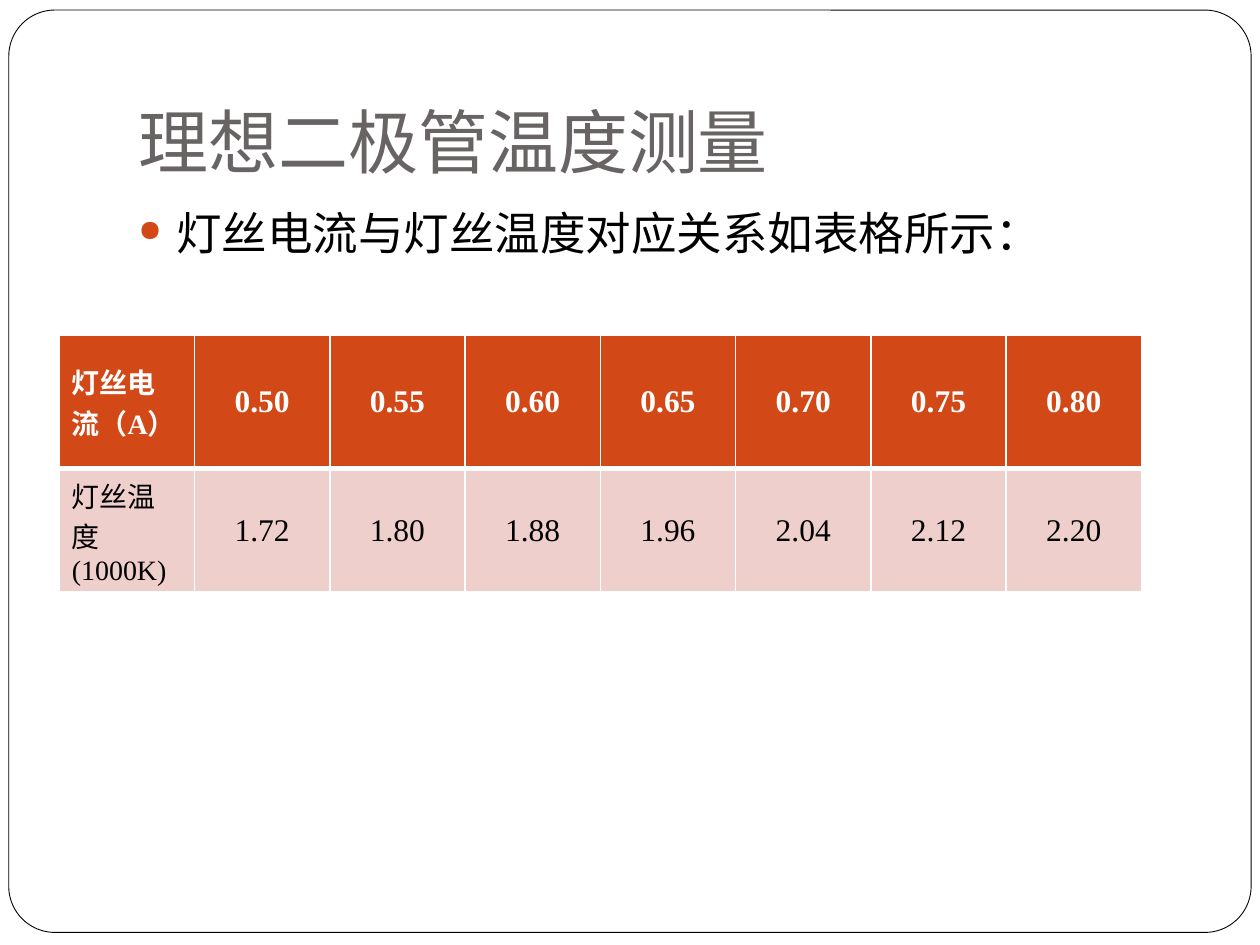
from dataclasses import dataclass

import lxml.etree
import pptx
import pptx.dml.color
import pptx.enum.shapes
import pptx.enum.text
import pptx.oxml.ns
import pptx.util

Inches = pptx.util.Inches
Pt = pptx.util.Pt
ALIGN = pptx.enum.text.PP_ALIGN
ANCHOR = pptx.enum.text.MSO_ANCHOR
qn = pptx.oxml.ns.qn


@dataclass(frozen=True)
class Theme:
    white: str = "FFFFFF"
    black: str = "000000"
    grey: str = "696464"
    accent: str = "D34817"
    tint: str = "EFCFCC"
    title_font: str = "Lato"
    body_font: str = "Times New Roman"
    title_size: int = 40
    body_size: int = 26
    value_size: int = 18
    label_size: int = 16


THEME = Theme()
CURRENTS = ["灯丝电流（A）", "0.50", "0.55", "0.60", "0.65", "0.70", "0.75", "0.80"]
TEMPERATURES = ["灯丝温度(1000K)", "1.72", "1.80", "1.88", "1.96", "2.04", "2.12", "2.20"]
ROW_HEIGHTS = [1.06, 0.98]


def rgb(color):
    return pptx.dml.color.RGBColor.from_string(color)


def write(tf, text, size, color=THEME.black, font=THEME.body_font, bold=False, align=ALIGN.LEFT):
    p = tf.paragraphs[0]
    p.alignment = align
    r = p.add_run()
    r.text = text
    r.font.size = Pt(size)
    r.font.name = font
    r.font.bold = bold
    r.font.color.rgb = rgb(color)
    return p


def place(sp, box):
    sp.left, sp.top, sp.width, sp.height = (Inches(v) for v in box)


def add_frame(s, box):
    sp = s.shapes.add_shape(pptx.enum.shapes.MSO_SHAPE.ROUNDED_RECTANGLE, *(Inches(v) for v in box))
    sp.adjustments[0] = 0.05
    sp.shadow.inherit = False
    sp.fill.solid()
    sp.fill.fore_color.rgb = rgb(THEME.white)
    sp.line.color.rgb = rgb(THEME.black)
    sp.line.width = Pt(0.5)
    s.shapes._spTree.insert(2, sp._element)


def add_title(s, box, text):
    sp = s.shapes.title
    place(sp, box)
    tf = sp.text_frame
    tf.auto_size = pptx.enum.text.MSO_AUTO_SIZE.NONE
    tf.vertical_anchor = ANCHOR.BOTTOM
    tf.margin_bottom = Inches(0.1)
    write(tf, text, THEME.title_size, THEME.grey, THEME.title_font)


def add_bullet(p, char, indent):
    pPr = p._p.get_or_add_pPr()
    pPr.set("marL", str(Inches(indent)))
    pPr.set("indent", str(Inches(-indent)))
    color = lxml.etree.SubElement(pPr, qn("a:buClr"))
    lxml.etree.SubElement(color, qn("a:srgbClr"), val=THEME.accent)
    lxml.etree.SubElement(pPr, qn("a:buSzPct"), val="65000")
    lxml.etree.SubElement(pPr, qn("a:buChar"), char=char)


def add_body(s, box, text):
    sp = s.shapes.add_textbox(*(Inches(v) for v in box))
    tf = sp.text_frame
    tf.word_wrap = True
    add_bullet(write(tf, text, THEME.body_size), "●", 0.3)


def set_borders(cell, **widths):
    tcPr = cell._tc.get_or_add_tcPr()
    for i, side in enumerate("LRTB"):
        ln = lxml.etree.Element(qn(f"a:ln{side}"), w=str(Pt(widths.get(side, 1))))
        fill = lxml.etree.SubElement(ln, qn("a:solidFill"))
        lxml.etree.SubElement(fill, qn("a:srgbClr"), val=THEME.white)
        tcPr.insert(i, ln)


def add_data_table(s, box, rows, heights):
    columns = len(rows[0])
    table = s.shapes.add_table(len(rows), columns, *(Inches(v) for v in box)).table
    for column in table.columns:
        column.width = Inches(box[2] / columns)
    for i, row in enumerate(rows):
        header = i == 0
        table.rows[i].height = Inches(heights[i])
        for j, text in enumerate(row):
            label = j == 0
            cell = table.cell(i, j)
            cell.vertical_anchor = ANCHOR.MIDDLE
            cell.fill.solid()
            cell.fill.fore_color.rgb = rgb(THEME.accent if header else THEME.tint)
            set_borders(cell, **({"B": 3} if header else {"T": 3}))
            write(cell.text_frame, text,
                  THEME.label_size if label else THEME.value_size,
                  THEME.white if header else THEME.black,
                  bold=header, align=ALIGN.LEFT if label else ALIGN.CENTER)


def main():
    prs = pptx.Presentation()
    prs.slide_width, prs.slide_height = Inches(10), Inches(7.5)
    s = prs.slides.add_slide(prs.slide_layouts[5])
    add_frame(s, (0.07, 0.08, 9.86, 7.32))
    add_title(s, (1, 0.3, 8.5, 1.25), "理想二极管温度测量")
    add_body(s, (1, 1.58, 8.5, 5), "灯丝电流与灯丝温度对应关系如表格所示：")
    add_data_table(s, (0.47, 2.66, 8.59, sum(ROW_HEIGHTS)), [CURRENTS, TEMPERATURES], ROW_HEIGHTS)
    prs.save("out.pptx")


if __name__ == "__main__":
    main()
